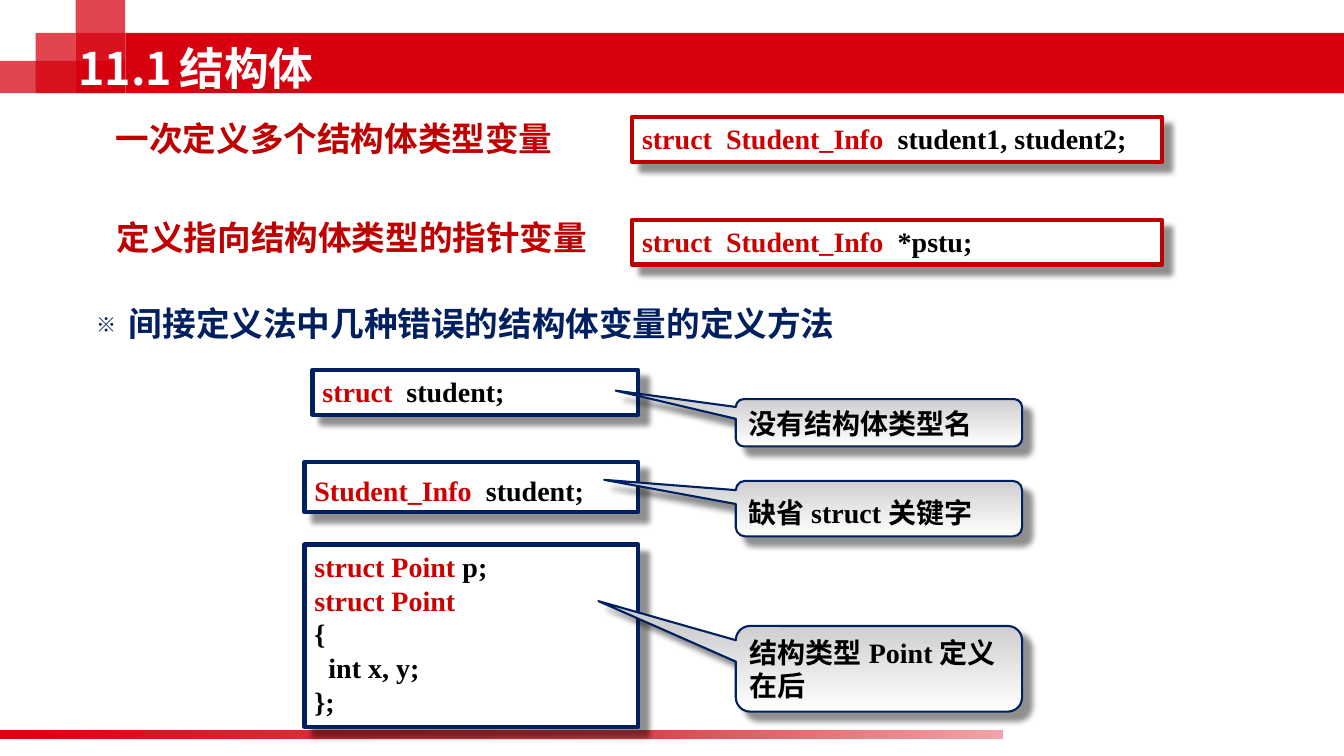
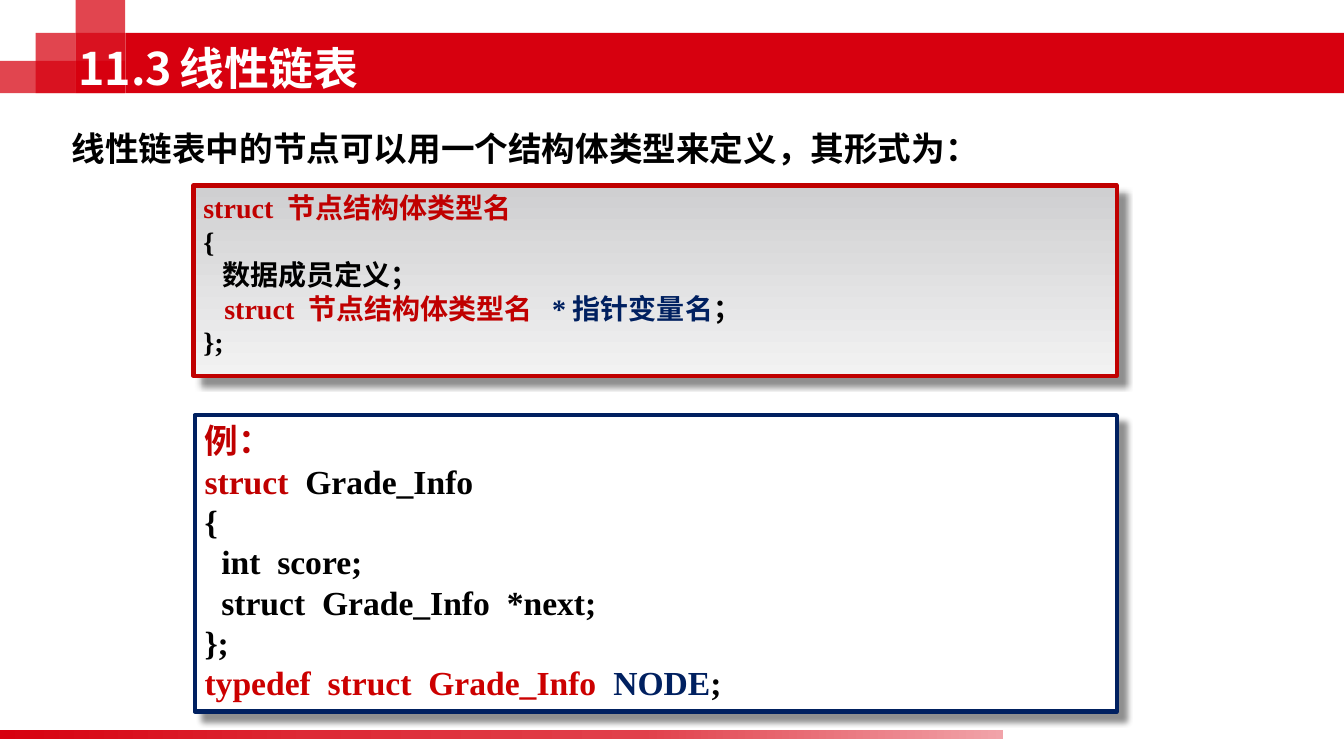
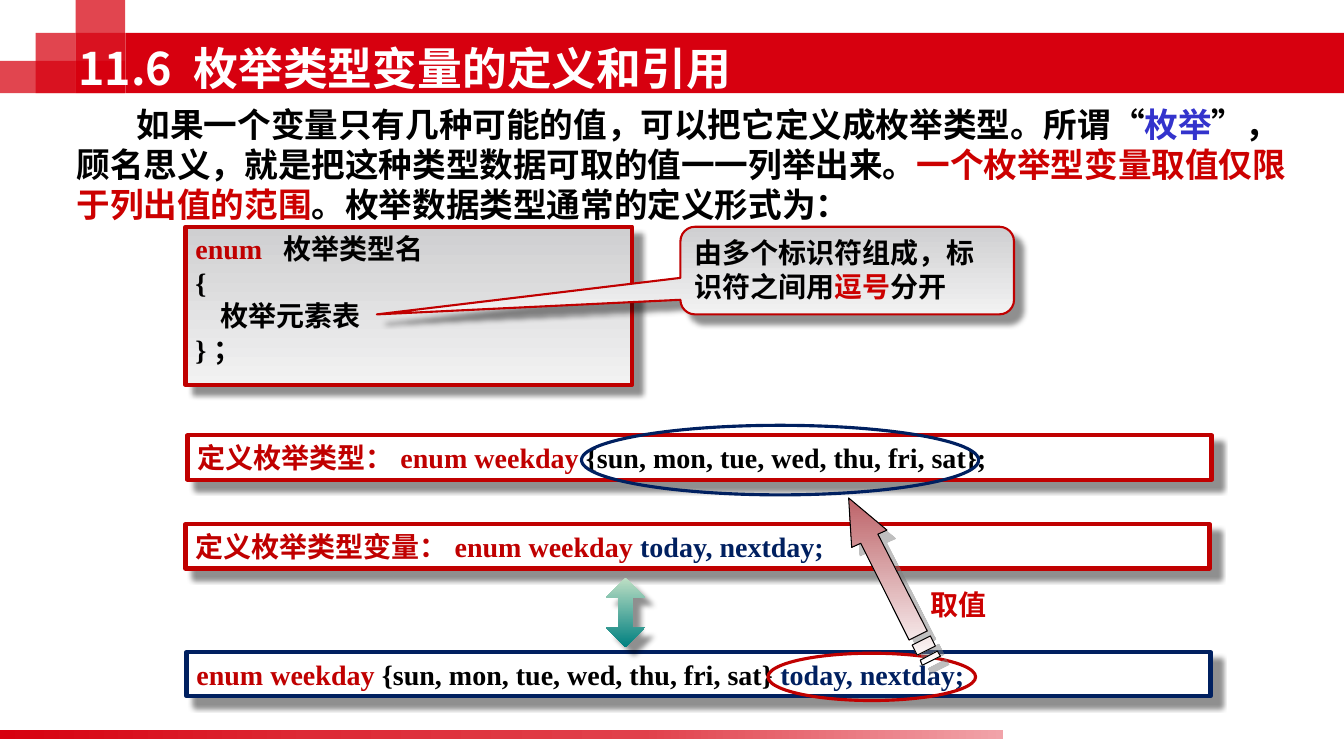
"""Build three slides on C structs, linked lists and enums."""
from lxml import etree
from pptx import Presentation
from pptx.dml.color import RGBColor
from pptx.enum.shapes import MSO_SHAPE
from pptx.enum.text import MSO_ANCHOR, PP_ALIGN
from pptx.oxml import parse_xml
from pptx.oxml.ns import nsdecls, qn
from pptx.util import Pt

RECT, ELLIPSE = MSO_SHAPE.RECTANGLE, MSO_SHAPE.OVAL
CALLOUT, UP_DOWN = MSO_SHAPE.ROUNDED_RECTANGULAR_CALLOUT, MSO_SHAPE.UP_DOWN_ARROW
TOP, MIDDLE, BOTTOM = MSO_ANCHOR.TOP, MSO_ANCHOR.MIDDLE, MSO_ANCHOR.BOTTOM
LEFT = PP_ALIGN.LEFT
SANS, SERIF = "Noto Sans CJK SC", "Times New Roman"
C = {
    "brand": "D7000F", "brand2": "DD2935", "brand3": "E1404B", "brand4": "F1A3A9",
    "white": "FFFFFF", "black": "000000", "navy": "002060", "crimson": "C00000",
    "red": "CC0000", "blue": "3333CC", "silver": "CFCFD1", "pale": "F2F2F2",
    "mint": "BEDFC4", "teal": "008080", "rose": "BD6368", "gray": "808080",
}
FADE = [(0, "silver"), (100, "white")]
PANEL = [(0, "silver"), (100, "pale")]
SHADOW = ("black", 43, 4, 8.4)


def style(sp, fill=None, line=None, width=3, shadow=None, alpha=100, angle=90):
    """Set fill (colour name or gradient stops), outline and shadow."""
    spPr = sp.element.spPr
    if fill is None:
        sp.fill.background()
    elif isinstance(fill, str):
        sp.fill.solid()
        sp.fill.fore_color.rgb = RGBColor.from_string(C[fill])
        if alpha < 100:
            clr = spPr.find(".//" + qn("a:srgbClr"))
            etree.SubElement(clr, qn("a:alpha"), val=str(alpha * 1000))
    else:
        sp.fill.gradient()
        sp.fill.gradient_angle = -angle % 360
        stops = spPr.find(".//" + qn("a:gsLst"))
        for gs in list(stops):
            stops.remove(gs)
        for pos, name in fill:
            gs = etree.SubElement(stops, qn("a:gs"), pos=str(pos * 1000))
            etree.SubElement(gs, qn("a:srgbClr"), val=C[name])
    if line:
        sp.line.color.rgb = RGBColor.from_string(C[line])
        sp.line.width = Pt(width)
    else:
        sp.line.fill.background()
    sp.shadow.inherit = False
    if shadow:
        name, opacity, blur, dist = shadow
        spPr.find(qn("a:effectLst")).append(parse_xml(
            f'<a:outerShdw {nsdecls("a")} blurRad="{Pt(blur)}" dist="{Pt(dist)}" dir="2700000" '
            f'algn="tl" rotWithShape="0"><a:srgbClr val="{C[name]}">'
            f'<a:alpha val="{opacity * 1000}"/></a:srgbClr></a:outerShdw>'))


def write(sp, paras, size=20, font=SERIF, anchor=TOP, spacing=1.2, margin=0, indent=0, extras=()):
    """Fill a shape with paragraphs, each a list of (text, colour name) runs."""
    tf = sp.text_frame
    tf.word_wrap = True
    tf.vertical_anchor = anchor
    for i, runs in enumerate(paras):
        p = tf.paragraphs[0] if i == 0 else tf.add_paragraph()
        p.alignment = LEFT
        if spacing:
            p.line_spacing = Pt(size * spacing)
        pPr = p._p.get_or_add_pPr()
        pPr.set("marL", str(Pt(margin)))
        pPr.set("indent", str(Pt(indent)))
        for xml in extras:
            pPr.append(parse_xml(xml))
        for text, name in runs:
            r = p.add_run()
            r.text = text
            r.font.size = Pt(size)
            r.font.bold = True
            r.font.color.rgb = RGBColor.from_string(C[name])
            r.font.name = font
            etree.SubElement(r._r.get_or_add_rPr(), qn("a:ea"), typeface=SANS)


prs = Presentation()
prs.slide_width, prs.slide_height = Pt(960), Pt(540)
layout = prs.slide_layouts[6]
for ph in list(layout.placeholders):
    ph.element.getparent().remove(ph.element)

TITLES = ["11.1\t结构体", "11.3\t线性链表", "11.6 枚举类型变量的定义和引用"]
TAB = f'<a:tabLst {nsdecls("a")}><a:tab pos="{Pt(89)}" algn="l"/></a:tabLst>'
slides = [prs.slides.add_slide(layout) for title in TITLES]

FOOTER = [(0, "brand"), (31, "brand2"), (64, "brand3"), (100, "brand4")]
for at, fill, alpha in [
    ((0, 43.5, 89.5, 23), "brand", 73),
    ((25.5, 23.5, 28.5, 43), "brand", 73),
    ((54, 0, 35.5, 43.5), "brand", 73),
    ((54, 23.5, 35.5, 20), "brand", 73),
    ((54, 43.5, 35.5, 23), "brand", 100),
    ((89.5, 23.5, 870.5, 43), "brand", 100),
    ((0, 521.5, 716.5, 6.5), FOOTER, 100),
]:
    sp = slides[0].shapes.add_shape(RECT, *map(Pt, at))
    style(sp, fill, alpha=alpha, angle=0)
    layout.shapes.element.append(sp.element)

for s, title in zip(slides, TITLES):
    sp = s.shapes.add_textbox(Pt(49), Pt(24), Pt(641), Pt(48))
    write(sp, [[(title, "white")]], 32, SANS, MIDDLE, None, extras=[TAB])

s = slides[0]
for text, at in [
    ("一次定义多个结构体类型变量", (75.6, 80.6, 340, 36)),
    ("定义指向结构体类型的指针变量", (76.3, 151.2, 364, 36)),
]:
    sp = s.shapes.add_textbox(*map(Pt, at))
    write(sp, [[(text, "crimson")]], 24, SANS, MIDDLE, None)

BULLET = [
    f'<a:buSzPct {nsdecls("a")} val="60000"/>',
    f'<a:buFont {nsdecls("a")} typeface="{SANS}"/>',
    f'<a:buChar {nsdecls("a")} char="※"/>',
]
sp = s.shapes.add_textbox(Pt(62), Pt(213), Pt(570), Pt(36))
write(sp, [[("间接定义法中几种错误的结构体变量的定义方法", "navy")]], 24, SANS, MIDDLE, None,
      margin=23, indent=-23, extras=BULLET)

for at, line, anchor, paras in [
    ((451.5, 83.5, 378.5, 32), "crimson", TOP,
     [[("struct  Student_Info  ", "red"), ("student1, student2;", "black")]]),
    ((451.5, 157, 378.5, 32), "crimson", TOP,
     [[("struct  Student_Info  ", "red"), ("*pstu;", "black")]]),
    ((223.2, 264.2, 232.6, 32), "navy", TOP, [[("struct ", "red"), (" student;", "black")]]),
    ((217.5, 329.8, 238.3, 36), "navy", BOTTOM,
     [[("Student_Info", "red"), ("  student;", "black")]]),
    ((217.5, 389, 238.3, 130.3), "navy", TOP,
     [[("struct Point", "red"), (" p;", "black")], [("struct Point", "red")],
      [("{", "black")], [("  int x, y;", "black")], [("};", "black")]]),
]:
    sp = s.shapes.add_shape(RECT, *map(Pt, at))
    style(sp, "white", line, shadow=SHADOW)
    write(sp, paras, anchor=anchor)

for top, height, tip, anchor, text in [
    (285.1, 33.8, (-0.92, -0.68), TOP, "没有结构体类型名"),
    (343.5, 39.6, (-0.96, -0.52), BOTTOM, "缺省struct关键字"),
    (447.1, 61.2, (-0.98, -0.79), TOP, "结构类型Point定义在后"),
]:
    sp = s.shapes.add_shape(CALLOUT, Pt(525.6), Pt(top), Pt(204.5), Pt(height))
    sp.adjustments[0], sp.adjustments[1] = tip
    style(sp, FADE, "navy", 1.5, SHADOW)
    write(sp, [[(text, "black")]], anchor=anchor)

s = slides[1]
sp = s.shapes.add_textbox(Pt(44), Pt(88), Pt(685), Pt(36))
write(sp, [[("线性链表中的节点可以用一个结构体类型来定义，其形式为：", "black")]], 24,
      anchor=MIDDLE, spacing=None)
for at, fill, line, size, paras in [
    ((138.2, 132.5, 659.5, 136), PANEL, "crimson", 20,
     [[("struct 节点结构体类型名", "crimson")], [("{", "black")],
      [("   数据成员定义；", "black")],
      [("   struct 节点结构体类型名  ", "crimson"), ("*指针变量名", "navy"), ("；", "black")],
      [("};", "black")]]),
    ((139, 296.6, 658.8, 211.7), "white", "navy", 24,
     [[("例：", "crimson")], [("struct  ", "crimson"), ("Grade_Info", "black")],
      [("{", "black")], [("  int  score;", "black")],
      [("  struct  Grade_Info  *next;", "black")], [("};", "black")],
      [("typedef  struct  Grade_Info  ", "red"), ("NODE", "navy"), (";", "black")]]),
]:
    sp = s.shapes.add_shape(RECT, *map(Pt, at))
    style(sp, fill, line, shadow=SHADOW)
    write(sp, paras, size)

s = slides[2]
sp = s.shapes.add_textbox(Pt(47.5), Pt(70), Pt(886.3), Pt(94.3))
write(sp, [[("如果一个变量只有几种可能的值，可以把它定义成枚举类型。所谓“", "black"),
            ("枚举", "blue"),
            ("”，顾名思义，就是把这种类型数据可取的值一一列举出来。", "black"),
            ("一个枚举型变量取值仅限于列出值的范围", "red"),
            ("。枚举数据类型通常的定义形式为：", "black")]], 24, anchor=MIDDLE, indent=43)

for at, fill, line, paras in [
    ((132.5, 162, 319, 113), PANEL, "crimson",
     [[("enum  ", "crimson"), ("枚举类型名", "black")], [("{", "black")],
      [("    枚举元素表", "black")], [("}；", "black")]]),
    ((133.9, 311, 731.5, 31.7), "white", "crimson",
     [[("定义枚举类型：enum weekday ", "crimson"),
       ("{sun, mon, tue, wed, thu, fri, sat};", "black")]]),
    ((132.5, 374.4, 731.5, 31.7), "white", "crimson",
     [[("定义枚举类型变量：enum weekday ", "crimson"), ("today, nextday;", "navy")]]),
    ((133.2, 465.8, 731.5, 31.7), "white", "navy",
     [[("enum weekday ", "crimson"), ("{sun, mon, tue, wed, thu, fri, sat} ", "black"),
       ("today, nextday;", "navy")]]),
]:
    sp = s.shapes.add_shape(RECT, *map(Pt, at))
    style(sp, fill, line, shadow=SHADOW)
    write(sp, paras)

sp = s.shapes.add_shape(CALLOUT, Pt(486), Pt(162), Pt(238.3), Pt(62.6))
sp.adjustments[0], sp.adjustments[1] = -1.41, 0.5
style(sp, PANEL, "crimson", 1.5, SHADOW)
write(sp, [[("由多个标识符组成，标识符之间用", "black"), ("逗号", "red"), ("分开", "black")]])

sp = s.shapes.add_shape(UP_DOWN, Pt(432.7), Pt(412.6), Pt(28.1), Pt(49.7))
sp.adjustments[0], sp.adjustments[1] = 0.5, 0.35
style(sp, [(0, "mint"), (100, "teal")], shadow=SHADOW)

for at, line in [((548.6, 466.6, 148.3, 33.8), "crimson"), ((415.4, 303.8, 283.7, 49.7), "navy")]:
    sp = s.shapes.add_shape(ELLIPSE, *map(Pt, at))
    style(sp, line=line, width=2.25)

ARROW = [(608.4, 391), (614.9, 388.1), (649.4, 457.2), (662.4, 450.7),
         (627.1, 381.6), (633.6, 378.7), (606.2, 355.7)]
STRIPES = [
    [(655.2, 468), (668.2, 461.5), (664.6, 454.3), (651.6, 460.8)],
    [(658.8, 475.2), (671.8, 468.7), (669.6, 465.1), (657.4, 471.6)],
]
outline = s.shapes.build_freeform(*map(Pt, ARROW[0]))
outline.add_line_segments([(Pt(x), Pt(y)) for x, y in ARROW[1:]])
for stripe in STRIPES:
    outline.move_to(*map(Pt, stripe[0]))
    outline.add_line_segments([(Pt(x), Pt(y)) for x, y in stripe[1:]])
sp = outline.convert_to_shape()
style(sp, [(0, "rose"), (100, "white")], "black", 0.75, ("gray", 50, 0, 8.5))

sp = s.shapes.add_textbox(Pt(657.4), Pt(416.2), Pt(64.8), Pt(31))
write(sp, [[("取值", "red")]], font=SANS)

prs.save("out.pptx")
